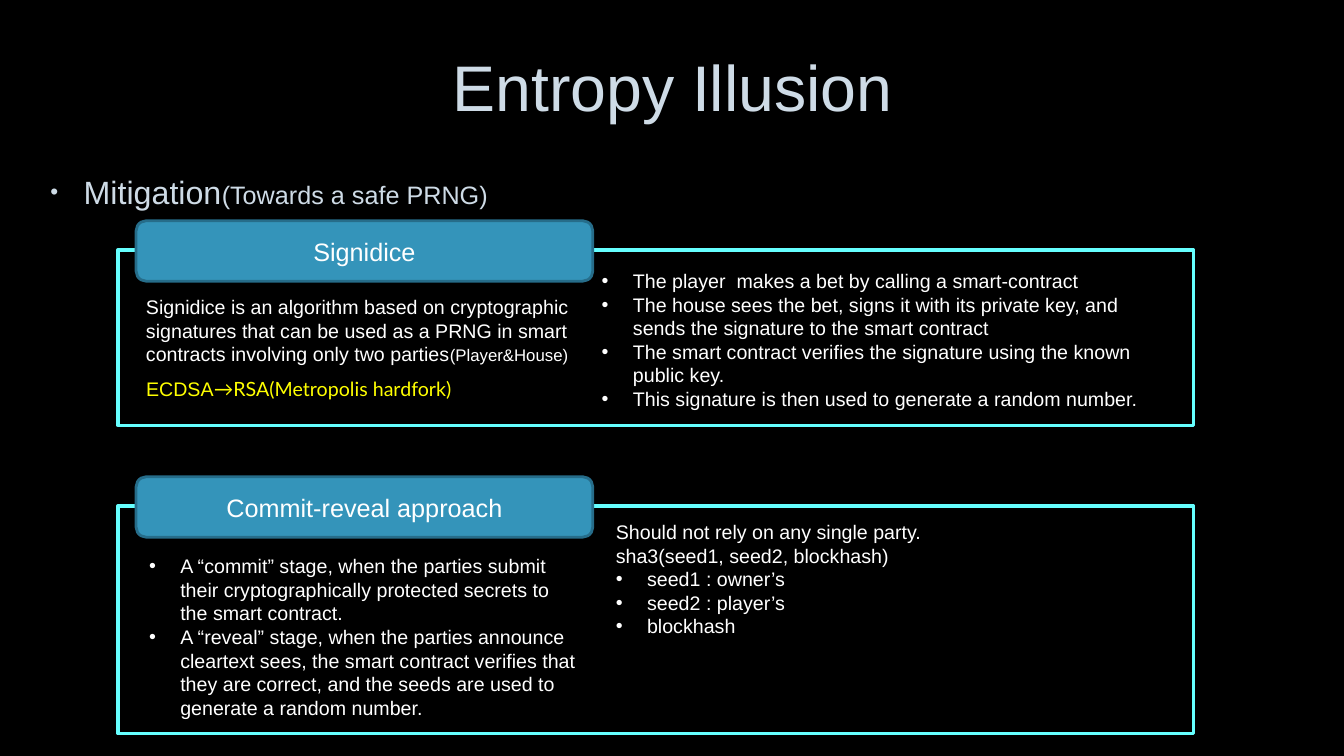
from lxml import etree
from pptx import Presentation
from pptx.dml.color import RGBColor
from pptx.enum.shapes import MSO_SHAPE
from pptx.enum.text import MSO_ANCHOR, MSO_AUTO_SIZE, PP_ALIGN
from pptx.oxml.ns import qn
from pptx.util import Emu, Pt

RECTANGLE, ROUNDED = MSO_SHAPE.RECTANGLE, MSO_SHAPE.ROUNDED_RECTANGLE
MIDDLE, TOP = MSO_ANCHOR.MIDDLE, MSO_ANCHOR.TOP
CENTER, LEFT = PP_ALIGN.CENTER, PP_ALIGN.LEFT
NO_AUTOFIT = MSO_AUTO_SIZE.NONE

PX = 9144  # 100 px to the inch
BLACK, WHITE, YELLOW = "000000", "FFFFFF", "FFFF00"
PALE, CYAN, TEAL, DARK_TEAL = "CEDBE6", "66FFFF", "3494BA", "266D8A"
FONT = "Arial"


def px(length):
    return Emu(length * PX)


def rgb(value):
    return RGBColor.from_string(value)


def place(shape, left, top, width, height):
    shape.left, shape.top = px(left), px(top)
    shape.width, shape.height = px(width), px(height)


def add_run(paragraph, text, size, color, font=FONT):
    run = paragraph.add_run()
    run.text = text
    run.font.size = Pt(size)
    run.font.name = font
    run.font.color.rgb = rgb(color)


def set_bullet(paragraph, margin, hanging, color=None, percent=None):
    properties = paragraph._p.get_or_add_pPr()
    properties.set("marL", str(px(margin)))
    properties.set("indent", str(-px(hanging)))
    if color:
        bullet_color = etree.SubElement(properties, qn("a:buClr"))
        etree.SubElement(bullet_color, qn("a:srgbClr"), val=color)
    if percent:
        etree.SubElement(properties, qn("a:buSzPct"), val=str(percent * 1000))
    etree.SubElement(properties, qn("a:buFont"), typeface=FONT)
    etree.SubElement(properties, qn("a:buChar"), char="•")


def fill_title(title, text):
    place(title, 101, 21, 1132, 138)
    frame = title.text_frame
    frame.auto_size = NO_AUTOFIT
    frame.vertical_anchor = MIDDLE
    paragraph = frame.paragraphs[0]
    paragraph.alignment = CENTER
    paragraph.line_spacing = 0.9
    add_run(paragraph, text, 46, PALE)


def fill_heading(body, heading, remark):
    place(body, 35, 162, 477, 73)
    frame = body.text_frame
    frame.auto_size = NO_AUTOFIT
    frame.vertical_anchor = TOP
    paragraph = frame.paragraphs[0]
    set_bullet(paragraph, 38, 33, PALE, 70)
    paragraph.alignment = LEFT
    paragraph.line_spacing = 1.1
    paragraph.space_before = Pt(0)
    paragraph.space_after = Pt(6)
    add_run(paragraph, heading, 23, PALE)
    add_run(paragraph, remark, 18, PALE)


def add_box(slide, kind, bounds, line, line_width, fill=None):
    shape = slide.shapes.add_shape(kind, *map(px, bounds))
    shape.shadow.inherit = False
    shape.line.color.rgb = rgb(line)
    shape.line.width = Pt(line_width)
    if fill:
        shape.fill.solid()
        shape.fill.fore_color.rgb = rgb(fill)
    else:
        shape.fill.background()
    return shape


def add_panel(slide, top, height, label):
    """Outlined frame with a label tab overlapping its top edge."""
    add_box(slide, RECTANGLE, (117, top, 1067, height), CYAN, 2.25)
    tab = add_box(slide, ROUNDED, (135, top - 29, 453, 60), DARK_TEAL, 2, TEAL)
    tab.text_frame.vertical_anchor = MIDDLE
    paragraph = tab.text_frame.paragraphs[0]
    paragraph.alignment = CENTER
    add_run(paragraph, label, 18, WHITE)


def add_text(slide, bounds, paragraphs):
    """Each paragraph is (bulleted, runs); a run is (text, size, color[, font])."""
    frame = slide.shapes.add_textbox(*map(px, bounds)).text_frame
    frame.word_wrap = True
    for index, (bulleted, runs) in enumerate(paragraphs):
        paragraph = frame.add_paragraph() if index else frame.paragraphs[0]
        if bulleted:
            set_bullet(paragraph, 31, 31)
        for run in runs:
            add_run(paragraph, *run)


def plain(*lines):
    return [(False, [(line, 14, WHITE)]) for line in lines]


def bullets(*lines):
    return [(True, [(line, 14, WHITE)]) for line in lines]


def main():
    presentation = Presentation()
    presentation.slide_width, presentation.slide_height = px(1333), px(750)
    slide = presentation.slides.add_slide(presentation.slide_layouts[1])
    slide.background.fill.solid()
    slide.background.fill.fore_color.rgb = rgb(BLACK)

    # Title and heading
    fill_title(slide.shapes.title, "Entropy Illusion")
    fill_heading(slide.placeholders[1], "Mitigation", "(Towards a safe PRNG)")

    # Signidice
    add_panel(slide, 248, 174, "Signidice")
    add_text(slide, (135, 288, 453, 81), [(False, [
        ("Signidice is an algorithm based on cryptographic signatures that can "
         "be used as a PRNG in smart contracts involving only two parties", 14, WHITE),
        ("(Player&House)", 12, WHITE)])])
    add_text(slide, (135, 369, 335, 34), [(False, [
        ("ECDSA", 14, YELLOW),
        ("→RSA(Metropolis hardfork)", 14, YELLOW, "Lato")])])
    add_text(slide, (587, 262, 584, 151), bullets(
        "The player  makes a bet by calling a smart-contract",
        "The house sees the bet, signs it with its private key, and sends the "
        "signature to the smart contract",
        "The smart contract verifies the signature using the known public key.",
        "This signature is then used to generate a random number."))

    # Commit-reveal approach
    add_panel(slide, 502, 226, "Commit-reveal approach")
    add_text(slide, (138, 545, 449, 175), bullets(
        "A “commit” stage, when the parties submit their cryptographically "
        "protected secrets to the smart contract.",
        "A “reveal” stage, when the parties announce cleartext sees, the smart "
        "contract verifies that they are correct, and the seeds are used to "
        "generate a random number."))
    add_text(slide, (601, 511, 584, 128),
             plain("Should not rely on any single party.",
                   "sha3(seed1, seed2, blockhash)")
             + bullets("seed1 : owner’s", "seed2 : player’s", "blockhash"))

    presentation.save("out.pptx")


if __name__ == "__main__":
    main()
